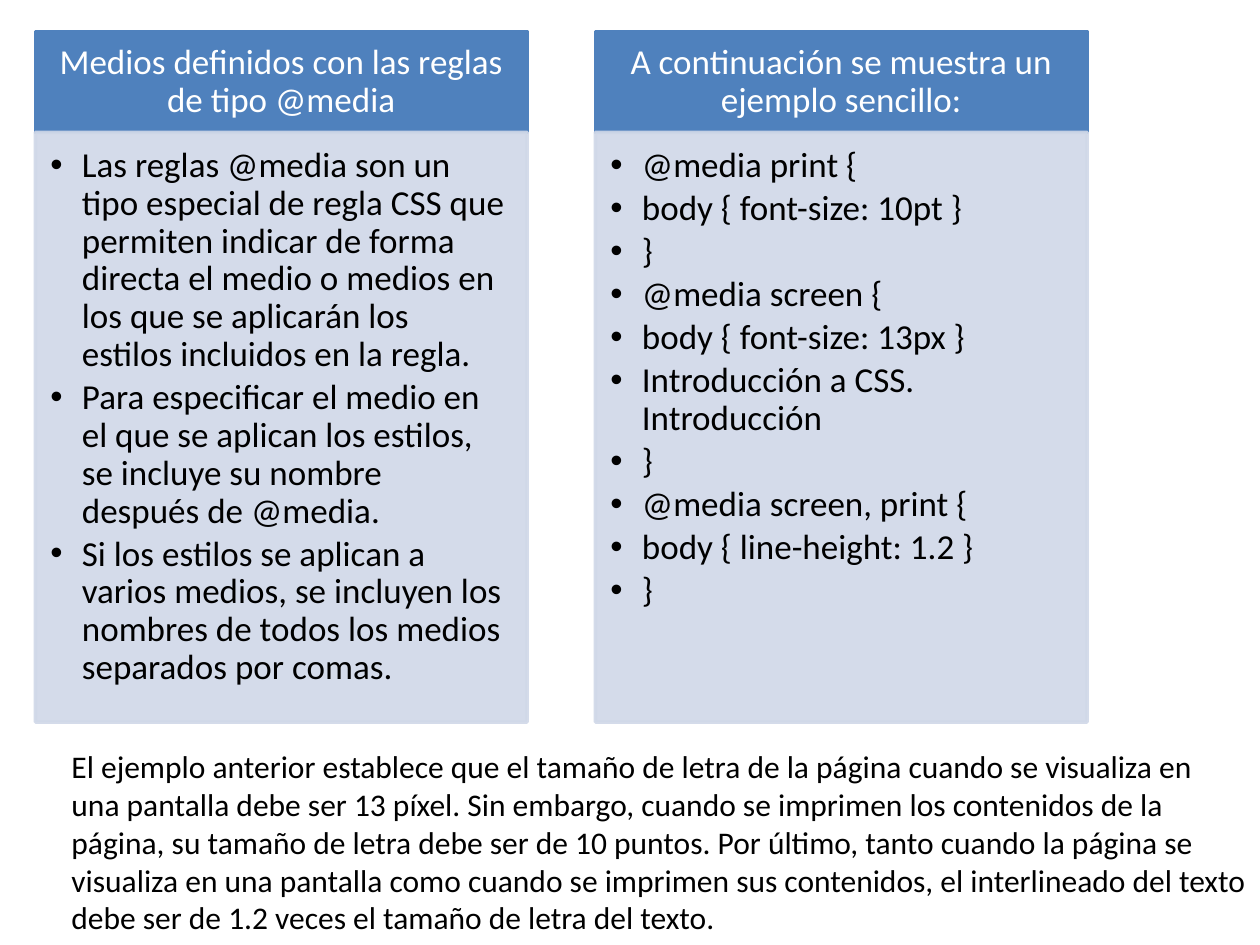
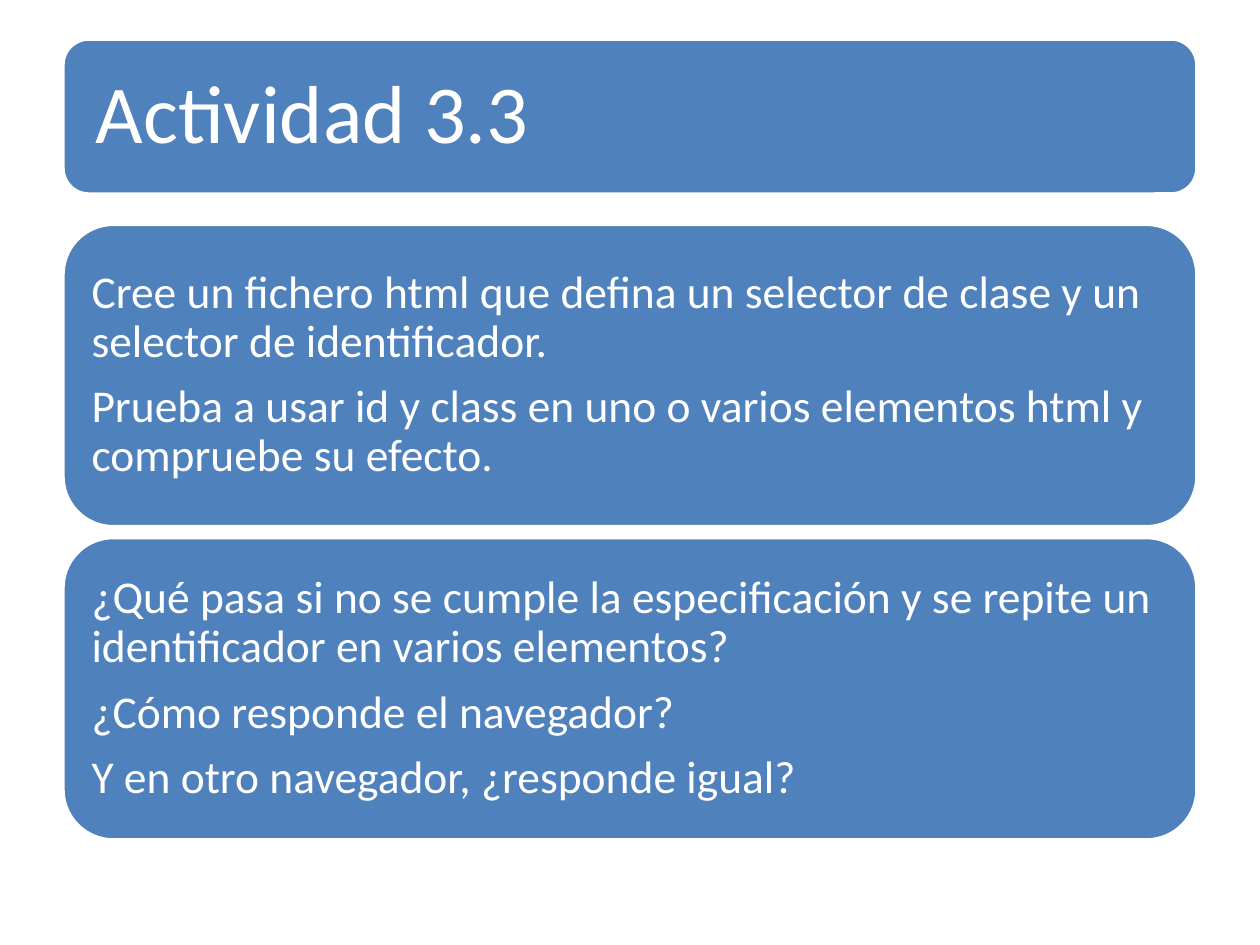
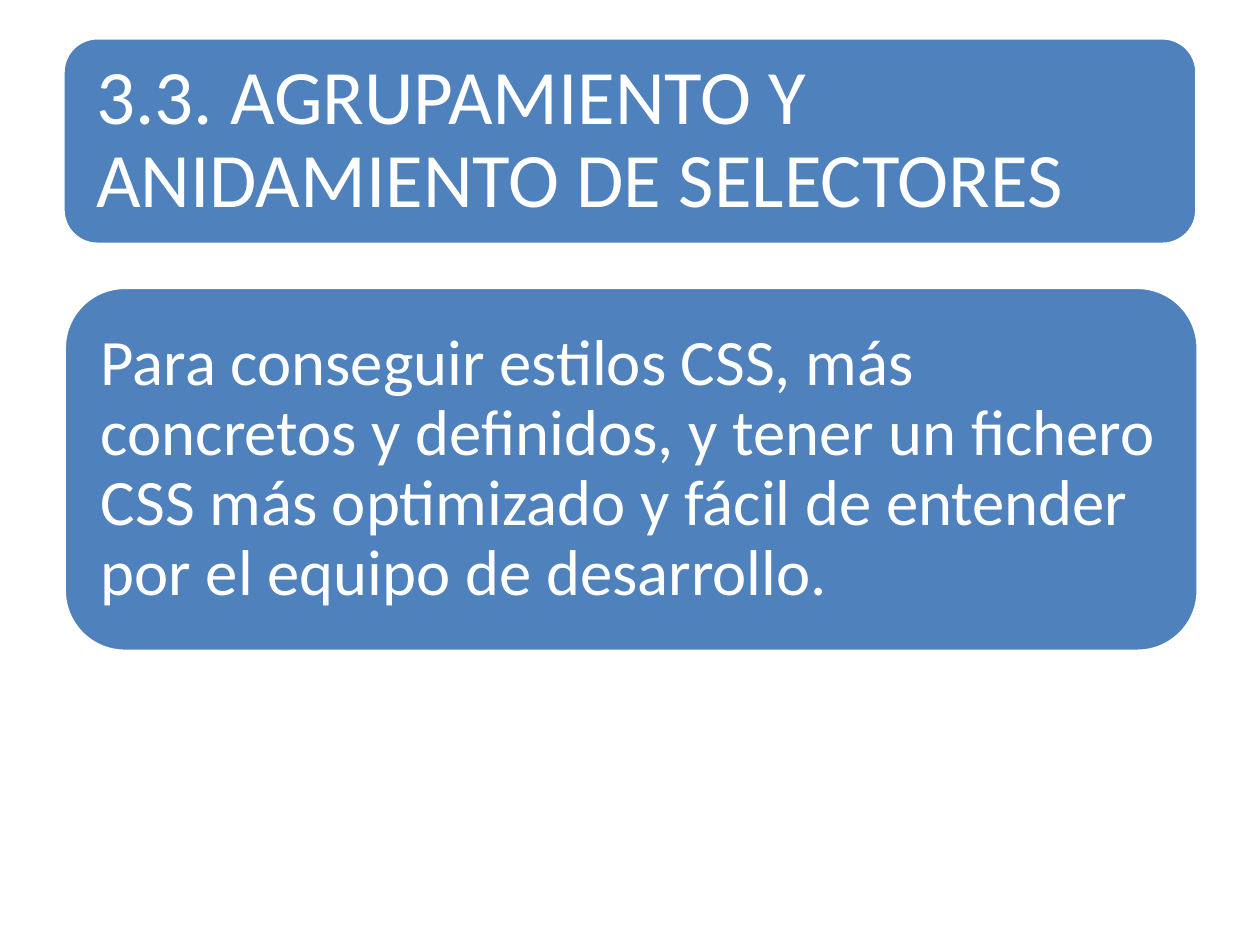
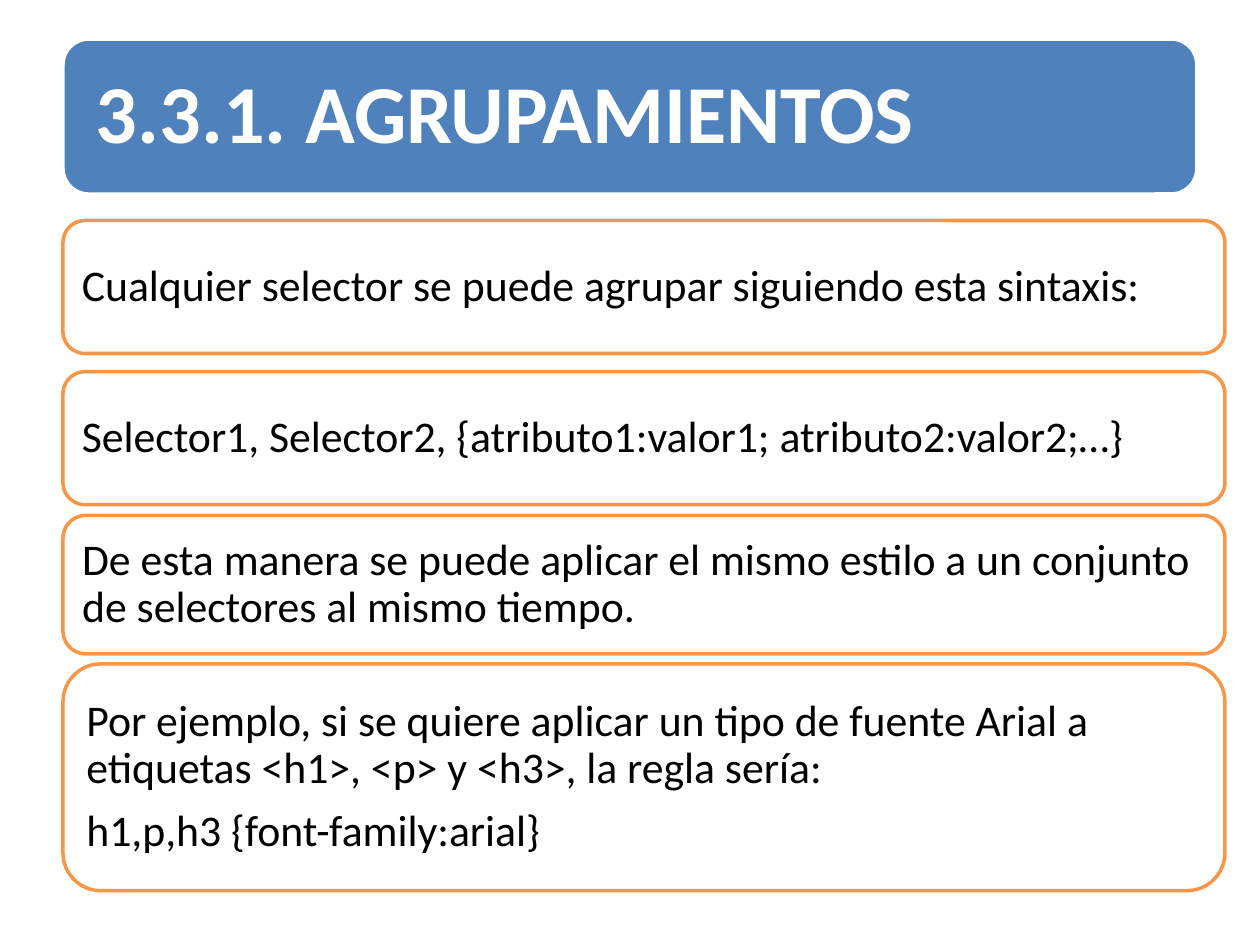
from dataclasses import dataclass
from typing import NamedTuple

from lxml.etree import SubElement
from pptx import Presentation
from pptx.dml.color import RGBColor
from pptx.enum.shapes import MSO_SHAPE
from pptx.enum.text import MSO_ANCHOR, MSO_AUTO_SIZE, PP_ALIGN
from pptx.oxml.ns import qn
from pptx.util import Pt

FONT = "Calibri"
BLUE = RGBColor(0x4F, 0x81, 0xBD)
PALE_BLUE = RGBColor(0xD0, 0xD8, 0xE8)
ORANGE = RGBColor(0xF7, 0x96, 0x46)
WHITE = RGBColor(0xFF, 0xFF, 0xFF)
BLACK = RGBColor(0x00, 0x00, 0x00)

COMPARISON_LAYOUT = 4
TITLE_ONLY_LAYOUT = 5
LINE_WIDTH = 2
CORNER_INSET = 0.05  # text inset of a rounded rectangle, as a share of its height


class Box(NamedTuple):
    """Position and size in points."""
    left: float
    top: float
    width: float
    height: float


@dataclass(frozen=True)
class TextStyle:
    size: float
    color: RGBColor
    insets: tuple[float, float, float, float]
    align: PP_ALIGN = PP_ALIGN.LEFT
    anchor: MSO_ANCHOR = MSO_ANCHOR.MIDDLE
    bold: bool = False
    line_spacing: float = 0.9
    space_after: float = 0.35  # share of the font size
    bullet_indent: float = 0


@dataclass(frozen=True)
class Paint:
    fill: RGBColor
    line: RGBColor
    opacity: int = 100


@dataclass(frozen=True)
class Column:
    heading: str
    items: list[str]


@dataclass(frozen=True)
class Card:
    box: Box
    lines: list[str]


@dataclass(frozen=True)
class CardSlide:
    title: str
    title_box: Box
    title_style: TextStyle
    cards: list[Card]
    card_style: TextStyle
    card_paint: Paint


# Shared looks
SOLID_BLUE = Paint(BLUE, WHITE)
HEADING_PAINT = Paint(BLUE, BLUE)
LIST_PAINT = Paint(PALE_BLUE, PALE_BLUE, opacity=90)
OUTLINED = Paint(WHITE, ORANGE)

HEADING_STYLE = TextStyle(20, WHITE, (11.5, 6.5, 11.5, 6.5), align=PP_ALIGN.CENTER)
LIST_STYLE = TextStyle(20, BLACK, (8.6, 8.6, 11.5, 12.2), anchor=MSO_ANCHOR.TOP,
                       space_after=0.15, bullet_indent=18)
NOTE_STYLE = TextStyle(18, BLACK, (7.2, 3.6, 7.2, 3.6), anchor=MSO_ANCHOR.TOP,
                       line_spacing=1, space_after=0)

TITLE_BOX = Box(36, 22.3, 648, 88.6)

# Slide 1 content
COLUMN_LEFT, COLUMN_STEP, COLUMN_WIDTH = 20.2, 320, 281
HEADING_TOP, HEADING_HEIGHT, LIST_HEIGHT = 18, 57.6, 337
COLUMNS = [
    Column("Medios definidos con las reglas de tipo @media", [
        "Las reglas @media son un tipo especial de regla CSS que permiten indicar de forma "
        "directa el medio o medios en los que se aplicarán los estilos incluidos en la regla.",
        "Para especificar el medio en el que se aplican los estilos, se incluye su nombre "
        "después de @media.",
        "Si los estilos se aplican a varios medios, se incluyen los nombres de todos los "
        "medios separados por comas.",
    ]),
    Column("A continuación se muestra un ejemplo sencillo:", [
        "@media print {",
        "body { font-size: 10pt }",
        "}",
        "@media screen {",
        "body { font-size: 13px }",
        "Introducción a CSS. Introducción",
        "}",
        "@media screen, print {",
        "body { line-height: 1.2 }",
        "}",
    ]),
]
NOTE_BOX = Box(33.8, 423.4, 686.2, 116.6)
NOTE = (
    "El ejemplo anterior establece que el tamaño de letra de la página cuando se visualiza en "
    "una pantalla debe ser 13 píxel. Sin embargo, cuando se imprimen los contenidos de la "
    "página, su tamaño de letra debe ser de 10 puntos. Por último, tanto cuando la página se "
    "visualiza en una pantalla como cuando se imprimen sus contenidos, el interlineado del "
    "texto debe ser de 1.2 veces el tamaño de letra del texto."
)

# Slides 2 to 4 content
CARD_SLIDES = [
    CardSlide(
        "Actividad 3.3", TITLE_BOX, TextStyle(47, WHITE, (14.4,) * 4),
        [
            Card(Box(36, 128.2, 648, 172.8), [
                "Cree un fichero html que defina un selector de clase y un selector de "
                "identificador.",
                "Prueba a usar id y class en uno o varios elementos html y compruebe su efecto.",
            ]),
            Card(Box(36, 307.2, 648, 172.8), [
                "¿Qué pasa si no se cumple la especificación y se repite un identificador en "
                "varios elementos?",
                "¿Cómo responde el navegador?",
                "Y en otro navegador, ¿responde igual?",
            ]),
        ],
        TextStyle(26, WHITE, (7.9,) * 4), SOLID_BLUE,
    ),
    CardSlide(
        "3.3. AGRUPAMIENTO Y ANIDAMIENTO DE SELECTORES",
        Box(36, 21.6, 648, 118), TextStyle(44, WHITE, (13,) * 4),
        [
            Card(Box(36.7, 164.2, 648, 208), [
                "Para conseguir estilos CSS, más concretos y definidos, y tener un fichero CSS "
                "más optimizado y fácil de entender por el equipo de desarrollo.",
            ]),
        ],
        TextStyle(37, WHITE, (10.8,) * 4), SOLID_BLUE,
    ),
    CardSlide(
        "3.3.1. AGRUPAMIENTOS", TITLE_BOX, TextStyle(47, WHITE, (14.4,) * 4, bold=True),
        [
            Card(Box(36, 126, 664, 76), [
                "Cualquier selector se puede agrupar siguiendo esta sintaxis:",
            ]),
            Card(Box(36, 212.4, 664, 76), [
                "Selector1, Selector2, {atributo1:valor1; atributo2:valor2;…}",
            ]),
            Card(Box(36, 294.5, 664, 79.2), [
                "De esta manera se puede aplicar el mismo estilo a un conjunto de selectores "
                "al mismo tiempo.",
            ]),
            Card(Box(36, 379.4, 664, 129.6), [
                "Por ejemplo, si se quiere aplicar un tipo de fuente Arial a etiquetas <h1>, "
                "<p> y <h3>, la regla sería:",
                "h1,p,h3 {font-family:arial}",
            ]),
        ],
        TextStyle(25, BLACK, (7.2,) * 4), OUTLINED,
    ),
]


def place(shape, box: Box) -> None:
    shape.left, shape.top, shape.width, shape.height = map(Pt, box)


def paint_shape(shape, paint: Paint) -> None:
    shape.fill.solid()
    shape.fill.fore_color.rgb = paint.fill
    shape.line.color.rgb = paint.line
    shape.line.width = Pt(LINE_WIDTH)
    if paint.opacity < 100:
        for color in list(shape.element.spPr.iter(qn("a:srgbClr"))):
            SubElement(color, qn("a:alpha")).set("val", str(paint.opacity * 1000))


def write_text(shape, lines: list[str], style: TextStyle) -> None:
    frame = shape.text_frame
    frame.text = "\n".join(lines)
    frame.word_wrap = True
    frame.auto_size = MSO_AUTO_SIZE.NONE
    frame.vertical_anchor = style.anchor
    (frame.margin_left, frame.margin_top,
     frame.margin_right, frame.margin_bottom) = map(Pt, style.insets)
    for paragraph in frame.paragraphs:
        paragraph.alignment = style.align
        paragraph.line_spacing = style.line_spacing
        paragraph.space_before = Pt(0)
        paragraph.space_after = Pt(style.size * style.space_after)
        if style.bullet_indent:
            properties = paragraph._p.get_or_add_pPr()
            properties.set("marL", str(Pt(style.bullet_indent)))
            properties.set("indent", str(-Pt(style.bullet_indent)))
        for run in paragraph.runs:
            run.font.name = FONT
            run.font.size = Pt(style.size)
            run.font.bold = style.bold
            run.font.color.rgb = style.color


def add_rounded(slide, box: Box, paint: Paint):
    shape = slide.shapes.add_shape(MSO_SHAPE.ROUNDED_RECTANGLE, *map(Pt, box))
    shape.shadow.inherit = False
    paint_shape(shape, paint)
    return shape


def add_title(slide, text: str, box: Box, style: TextStyle) -> None:
    title = slide.shapes.title
    band = add_rounded(slide, box, SOLID_BLUE)
    title.element.addprevious(band.element)  # band goes behind the title
    inset = box.height * CORNER_INSET
    place(title, Box(box.left + inset, box.top + inset,
                     box.width - 2 * inset, box.height - 2 * inset))
    write_text(title, [text], style)


def build_column_slide(presentation) -> None:
    slide = presentation.slides.add_slide(presentation.slide_layouts[COMPARISON_LAYOUT])
    title = slide.shapes.title.element
    title.getparent().remove(title)

    # Each column is a heading placeholder above a list placeholder
    for index, column in enumerate(COLUMNS):
        left = COLUMN_LEFT + index * COLUMN_STEP
        heading = slide.placeholders[2 * index + 1]
        place(heading, Box(left, HEADING_TOP, COLUMN_WIDTH, HEADING_HEIGHT))
        paint_shape(heading, HEADING_PAINT)
        write_text(heading, [column.heading], HEADING_STYLE)

        body = slide.placeholders[2 * index + 2]
        place(body, Box(left, HEADING_TOP + HEADING_HEIGHT, COLUMN_WIDTH, LIST_HEIGHT))
        paint_shape(body, LIST_PAINT)
        write_text(body, column.items, LIST_STYLE)

    # Explanation below the columns
    note = slide.shapes.add_textbox(*map(Pt, NOTE_BOX))
    write_text(note, [NOTE], NOTE_STYLE)


def build_card_slide(presentation, content: CardSlide) -> None:
    slide = presentation.slides.add_slide(presentation.slide_layouts[TITLE_ONLY_LAYOUT])
    add_title(slide, content.title, content.title_box, content.title_style)
    for card in content.cards:
        shape = add_rounded(slide, card.box, content.card_paint)
        write_text(shape, card.lines, content.card_style)


def main() -> None:
    presentation = Presentation()
    presentation.slide_width, presentation.slide_height = Pt(720), Pt(540)
    build_column_slide(presentation)
    for content in CARD_SLIDES:
        build_card_slide(presentation, content)
    presentation.save("out.pptx")


if __name__ == "__main__":
    main()
